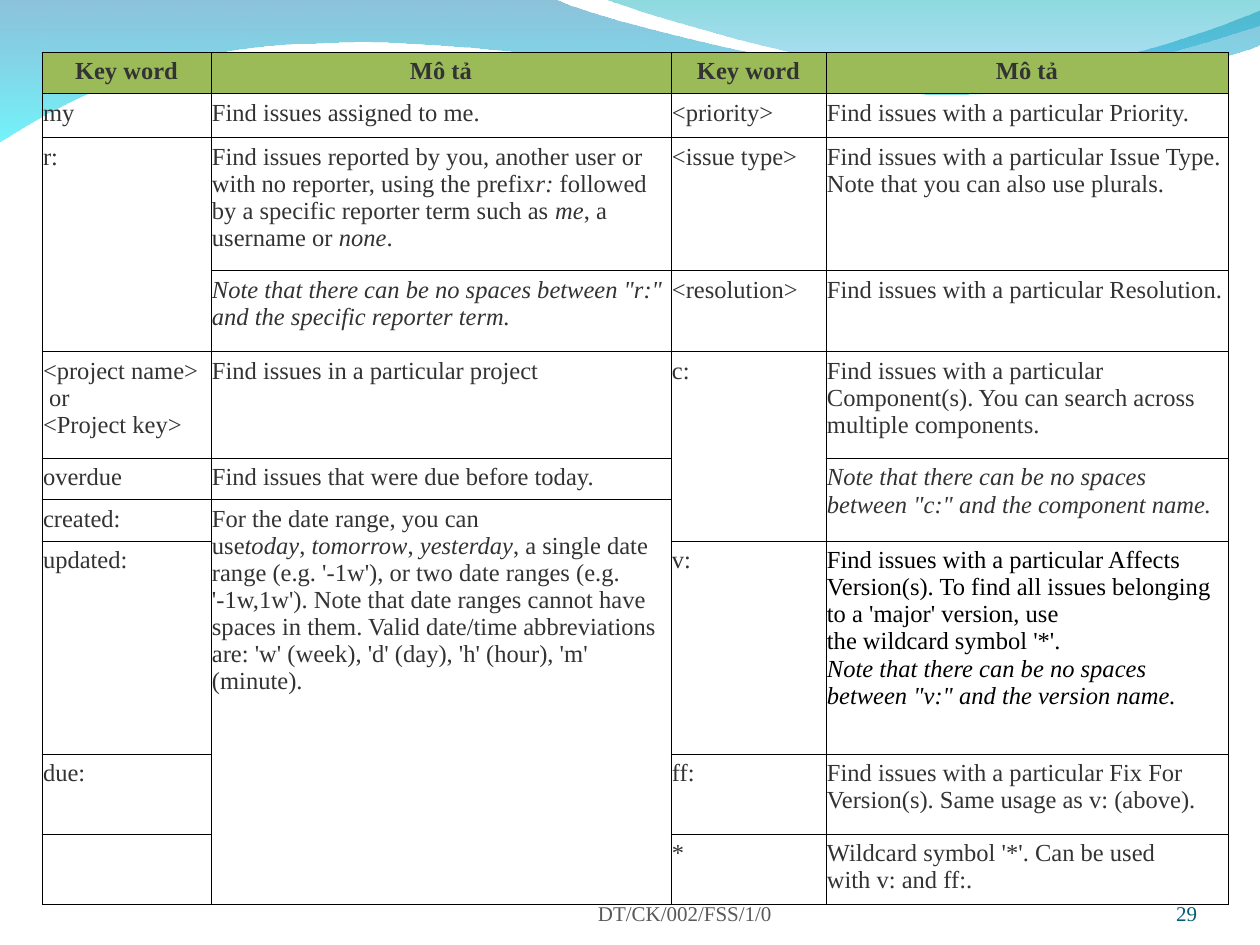
from pptx import Presentation
from pptx.dml.color import RGBColor as RGB
from pptx.enum.text import MSO_ANCHOR as Anchor, PP_ALIGN as Align
from pptx.oxml.ns import qn
from pptx.util import Pt
from lxml.etree import SubElement as Sub, Element

PX = 914400 / 126


class Theme:
    font = "Times New Roman"
    body, foot = Pt(14), Pt(12)
    ink, black = RGB.from_string("333333"), RGB.from_string("000000")
    grey, navy = RGB.from_string("595959"), RGB.from_string("045C75")
    head = RGB.from_string("9BBB59")
    rule = 2921  # EMU, 0.23 pt


def px(n):
    return round(n * PX)


def write(frame, text, size, color, bold=False, align=Align.LEFT):
    """Fill a frame: _ switches italics, ~ is a hard space, | a line break."""
    text = text.replace("~", chr(160))
    frame.text = text
    for para, line in zip(frame.paragraphs, text.split("\n")):
        para.alignment = align
        para.text = ""
        for i, part in enumerate(line.split("_")):
            if part:
                run = para.add_run()
                run.text = part.rstrip("|")
                font = run.font
                font.name, font.size, font.bold = Theme.font, size, bold
                font.italic = i % 2 == 1
                font.color.rgb = color
            if part.endswith("|"):
                para.add_line_break()


deck = Presentation()
deck.slide_width, deck.slide_height = px(1260), px(945)
slide = deck.slides.add_slide(deck.slide_layouts[6])
shapes = slide.shapes

# Waves: a 2-tuple is a straight step, a 6-tuple a Bezier curve
waves = [
    ([(0, -1), (554, -1), (600, 21, 837, 79, 955, 79),
      (1075, 79, 1207, 33, 1260, 11), (1261, 45),
      (1239, 55, 1096, 96, 940, 94), (784, 94, 481, 35, 324, 43),
      (163, 44, 58, 105, -1, 142)],
     [("0079AF", 45), ("00EBF8", 55)]),
    ([(604, -1), (641, 14, 859, 78, 969, 82),
      (1079, 87, 1211, 40, 1260, 26), (1260, 0)],
     [("00ADB6", 45), ("009BE5", 30)]),
]
for steps, stops in waves:
    dots = [(px(s[i]), px(s[i + 1])) for s in steps
            for i in range(0, len(s), 2)]
    pen = shapes.build_freeform(*dots[0], scale=1.0)
    pen.add_line_segments(dots[1:], close=True)
    wave = pen.convert_to_shape()
    # Gather each three points of a curve into one Bezier step
    lines = list(wave._element.iter(qn("a:lnTo")))
    for step in steps[1:]:
        part, lines = lines[:len(step) // 2], lines[len(step) // 2:]
        if len(part) == 3:
            curve = Element(qn("a:cubicBezTo"))
            part[0].addprevious(curve)
            for line in part:
                curve.append(line[0])
                line.getparent().remove(line)
    wave.shadow.inherit = False
    wave.line.fill.background()
    wave.fill.gradient()
    wave.fill.gradient_angle = 270
    for stop, (color, _) in zip(wave.fill.gradient_stops, stops):
        stop.color.rgb = RGB.from_string(color)
    tints = wave._element.spPr.iter(qn("a:srgbClr"))
    for tint, (_, alpha) in zip(tints, stops):
        Sub(tint, qn("a:alpha")).set("val", str(alpha * 1000))

# Footer: page number and document code
for text, x, w, color, align in [
    ("29", 1092, 105, Theme.navy, Align.RIGHT),
    ("DT/CK/002/FSS/1/0", 598, 200, Theme.grey, Align.LEFT),
]:
    frame = shapes.add_textbox(px(x), px(876), px(w), px(50)).text_frame
    frame.word_wrap = True
    frame.vertical_anchor = Anchor.BOTTOM
    frame.margin_left = frame.margin_right = 0
    frame.margin_top = frame.margin_bottom = 0
    write(frame, text, Theme.foot, color, align=align)

# Keyword table: None joins the cell above
rows = [
    ["Key word", "Mô tả", "Key word", "Mô tả"],
    ["my", "Find issues assigned to me.",
     "<priority>", "Find issues with a particular Priority."],
    ["r:", "Find issues reported by you, another user or with no reporter, "
     "using the prefix_r:_~followed by a specific reporter term such as~"
     "_me_, a username or~_none_.",
     "<issue type>", "Find issues with a particular Issue Type. "
     "Note that you can also use plurals."],
    [None, "_Note that there can be no spaces between \"r:\" "
     "and the specific reporter term._",
     "<resolution>", "Find issues with a particular Resolution."],
    ["<project name>\n~or\n<Project key>",
     "Find issues in a particular project",
     "c:", "Find issues with a particular Component(s). "
     "You can search across multiple components."],
    ["overdue", "Find issues that were due before today.",
     None, "_Note that there can be no spaces between \"c:\" "
     "and the component name._"],
    ["created:", "For the date range, you can use_today_,~_tomorrow_,~"
     "_yesterday_, a single date range (e.g. '-1w'), or two date ranges "
     "(e.g. '-1w,1w'). Note that date ranges cannot have spaces in them. "
     "Valid date/time abbreviations are: 'w' (week), 'd' (day), "
     "'h' (hour), 'm' (minute).", None, None],
    ["updated:", None,
     "v:", "Find issues with a particular Affects Version(s). To find all "
     "issues belonging to a 'major' version, use the~wildcard~symbol~'*'.|"
     "_Note that there can be no spaces between \"v:\" "
     "and the version name._"],
    ["due:", None,
     "ff:", "Find issues with a particular Fix For Version(s). "
     "Same usage as~v:~(above)."],
    ["", None, "*", "Wildcard~symbol~'*'. Can be used with~v:~and~ff:."],
]
wide = [169, 460, 155, 402]
tall = [40, 44, 133, 81, 107, 39, 40, 213, 80, 67]
table = shapes.add_table(len(rows), len(wide), px(42), px(52),
                         px(sum(wide)), px(sum(tall))).table
table.first_row = table.horz_banding = False
for col, w in zip(table.columns, wide):
    col.width = px(w)
for row, h in zip(table.rows, tall):
    row.height = px(h)

for r, row in enumerate(rows):
    for c, text in enumerate(row):
        cell = table.cell(r, c)
        cell.margin_left = cell.margin_right = px(1)
        cell.margin_top = cell.margin_bottom = px(6)
        if r == 0:
            cell.fill.solid()
            cell.fill.fore_color.rgb = Theme.head
        else:
            cell.fill.background()
        if text is not None:
            color = Theme.black if (r, c) == (7, 3) else Theme.ink
            write(cell.text_frame, text, Theme.body, color, r == 0,
                  Align.CENTER if r == 0 else Align.LEFT)
        # Thin border on every side
        props = cell._tc.get_or_add_tcPr()
        for i, side in enumerate("LRTB"):
            line = Element(qn("a:ln" + side), w=str(Theme.rule))
            paint = Sub(line, qn("a:solidFill"))
            Sub(paint, qn("a:srgbClr")).set("val", str(Theme.black))
            props.insert(i, line)

# Join the tall cells
for c in range(len(wide)):
    top = 0
    for r in range(1, len(rows) + 1):
        if r == len(rows) or rows[r][c] is not None:
            if r - top > 1:
                table.cell(top, c).merge(table.cell(r - 1, c))
            top = r

deck.save("out.pptx")
